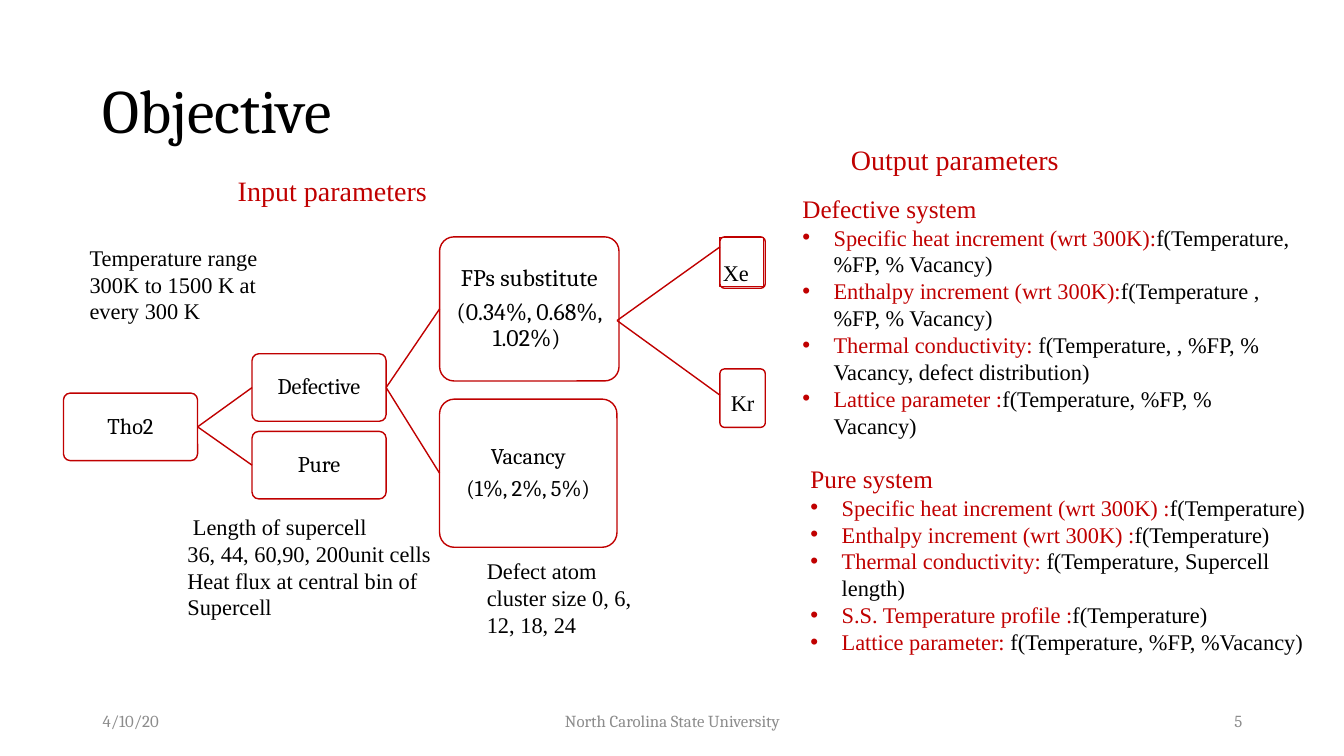
from dataclasses import dataclass

from lxml.etree import SubElement
from pptx import Presentation
from pptx.dml.color import RGBColor
from pptx.enum.shapes import MSO_CONNECTOR as Connector, MSO_SHAPE as Shape
from pptx.enum.text import MSO_ANCHOR as Anchor, PP_ALIGN as Align
from pptx.oxml.ns import qn
from pptx.util import Emu, Pt

PX = 9144  # one hundredth of an inch
LEFT, RIGHT = 1, 3


@dataclass(frozen=True)
class Theme:
    accent: RGBColor = RGBColor(0xC0, 0x00, 0x00)
    ink: RGBColor = RGBColor(0, 0, 0)
    muted: RGBColor = RGBColor(0x8C, 0x8C, 0x8C)
    display: str = "Cambria"
    body: str = "Times New Roman"
    title: int = 44
    heading: int = 20
    subheading: int = 18
    node_large: int = 17
    text: int = 16
    footer: int = 12


THEME = Theme()

DEFECTIVE_OUTPUTS = [
    ("Specific heat increment (wrt 300K):", "f(Temperature, %FP, % Vacancy)"),
    ("Enthalpy increment (wrt 300K):", "f(Temperature , %FP, % Vacancy)"),
    ("Thermal conductivity: ",
     "f(Temperature, , %FP, % Vacancy, defect distribution)"),
    ("Lattice parameter :", "f(Temperature, %FP, % Vacancy)"),
]
PURE_OUTPUTS = [
    ("Specific heat increment (wrt 300K) :", "f(Temperature)"),
    ("Enthalpy increment (wrt 300K) :", "f(Temperature)"),
    ("Thermal conductivity: ", "f(Temperature, Supercell length)"),
    ("S.S. Temperature profile :", "f(Temperature)"),
    ("Lattice parameter: ", "f(Temperature, %FP, %Vacancy)"),
]


def px(*lengths):
    return [Emu(length * PX) for length in lengths]


def add_span(para, text, *, size=THEME.text, font=THEME.body, color=THEME.ink):
    span = para.add_run()
    span.text = text
    span.font.size = Pt(size)
    span.font.name = font
    span.font.color.rgb = color


def write(frame, text, *, align=Align.LEFT, spacing=None, after=None, **style):
    """Fill a text frame with one paragraph per line of text."""
    for index, line in enumerate(text.split("\n")):
        para = frame.add_paragraph() if index else frame.paragraphs[0]
        para.alignment = align
        para.line_spacing = spacing
        para.space_after = after
        add_span(para, line, **style)


def add_text(page, area, text, *, anchor=Anchor.TOP, wrap=True, **style):
    box = page.shapes.add_textbox(*px(*area))
    frame = box.text_frame
    frame.word_wrap = wrap
    frame.vertical_anchor = anchor
    write(frame, text, **style)
    return box


def add_node(page, area, text="", *, shape=Shape.ROUNDED_RECTANGLE, line=1,
             insets=(1, 1, 1, 1), anchor=Anchor.MIDDLE, align=Align.CENTER,
             font=THEME.display, size=THEME.text):
    """Add an outlined box; insets run left, top, right, bottom."""
    node = page.shapes.add_shape(shape, *px(*area))
    if shape == Shape.ROUNDED_RECTANGLE:
        node.adjustments[0] = 0.1
    node.shadow.inherit = False
    node.fill.background()
    node.line.color.rgb = THEME.accent
    node.line.width = Pt(line)
    frame = node.text_frame
    (frame.margin_left, frame.margin_top,
     frame.margin_right, frame.margin_bottom) = px(*insets)
    frame.word_wrap = True
    frame.vertical_anchor = anchor
    if text:
        after = Pt(6) if "\n" in text else None
        write(frame, text, align=align, spacing=0.9, after=after,
              font=font, size=size)
    return node


def add_line(page, start=(0, 0), end=(0, 0)):
    link = page.shapes.add_connector(Connector.STRAIGHT, *px(*start, *end))
    link.line.color.rgb = THEME.accent
    link.line.width = Pt(1)
    SubElement(link._element.spPr, qn("a:effectLst"))
    return link


def join(page, parent, child):
    link = add_line(page)
    link.begin_connect(parent, RIGHT)
    link.end_connect(child, LEFT)


def add_bullet(para, indent=31):
    properties = para._p.get_or_add_pPr()
    properties.set("marL", str(indent * PX))
    properties.set("indent", str(-indent * PX))
    SubElement(properties, qn("a:buFont"), typeface="Arial")
    SubElement(properties, qn("a:buChar"), char="•")


def add_outputs(page, area, heading, outputs):
    box = add_text(page, area, heading, size=THEME.subheading,
                   color=THEME.accent)
    for quantity, arguments in outputs:
        para = box.text_frame.add_paragraph()
        add_bullet(para)
        add_span(para, quantity, color=THEME.accent)
        add_span(para, arguments)


def add_tree(page):
    oxide = add_node(page, (63, 390, 133, 67), "Tho2")
    defective = add_node(page, (250, 351, 133, 67), "Defective")
    pure = add_node(page, (250, 428, 133, 67), "Pure")
    products = add_node(page, (436, 235, 178, 143),
                        "FPs substitute\n(0.34%, 0.68%, 1.02%) ",
                        size=THEME.node_large)
    vacancy = add_node(page, (436, 396, 176, 147), "Vacancy\n(1%, 2%, 5%)")
    for parent, child in [(oxide, defective), (oxide, pure),
                          (defective, products), (defective, vacancy)]:
        join(page, parent, child)

    for end in [(714, 245), (714, 392)]:
        add_line(page, (612, 318), end)
    add_node(page, (714, 235, 45, 51))
    add_node(page, (714, 236, 43, 48), "Xe", shape=Shape.RECTANGLE, line=0.75,
             insets=(3, 3, 3, 0), anchor=Anchor.BOTTOM, align=Align.LEFT,
             font=THEME.body)
    add_node(page, (714, 366, 45, 58), "Kr", insets=(3, 13, 3, 1),
             font=THEME.body)


def add_footer(page):
    for left, width, text, align in [
        (92, 300, "4/10/20", Align.LEFT),
        (442, 450, "North Carolina State University", Align.CENTER),
        (942, 300, "5", Align.RIGHT),
    ]:
        add_text(page, (left, 695, width, 40), text, anchor=Anchor.MIDDLE,
                 align=align, size=THEME.footer, font=THEME.display,
                 color=THEME.muted)


def main():
    deck = Presentation()
    deck.slide_width, deck.slide_height = px(1333, 750)
    page = deck.slides.add_slide(deck.slide_layouts[6])

    add_text(page, (92, 40, 1150, 145), "Objective", anchor=Anchor.MIDDLE,
             spacing=0.9, size=THEME.title, font=THEME.display)
    add_footer(page)
    add_tree(page)

    heading = {"size": THEME.heading, "color": THEME.accent}
    add_text(page, (226, 167, 330, 44), "Input parameters", **heading)
    add_text(page, (834, 136, 228, 44), "Output parameters", wrap=False,
             **heading)

    add_text(page, (79, 237, 191, 91),
             "Temperature range\n300K to 1500 K at every 300 K")
    add_text(page, (473, 548, 191, 91),
             "Defect atom cluster size 0, 6, 12, 18, 24")
    add_text(page, (176, 504, 278, 118),
             " Length of supercell\n36, 44, 60,90, 200unit cells\n"
             "Heat flux at central bin of Supercell")

    add_outputs(page, (794, 455, 520, 259), "Pure system", PURE_OUTPUTS)
    add_outputs(page, (786, 187, 506, 340), "Defective system",
                DEFECTIVE_OUTPUTS)
    deck.save("out.pptx")


if __name__ == "__main__":
    main()
